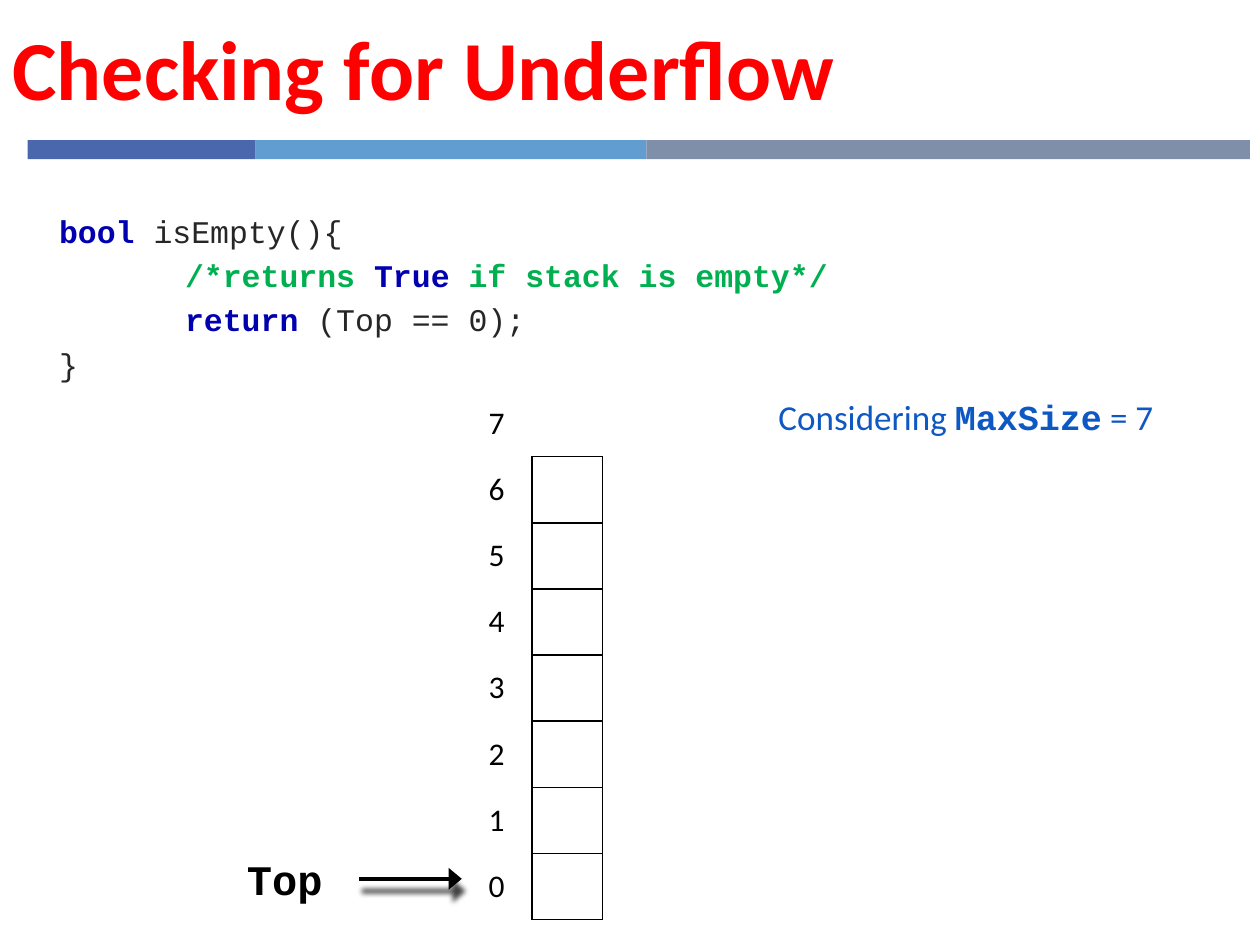
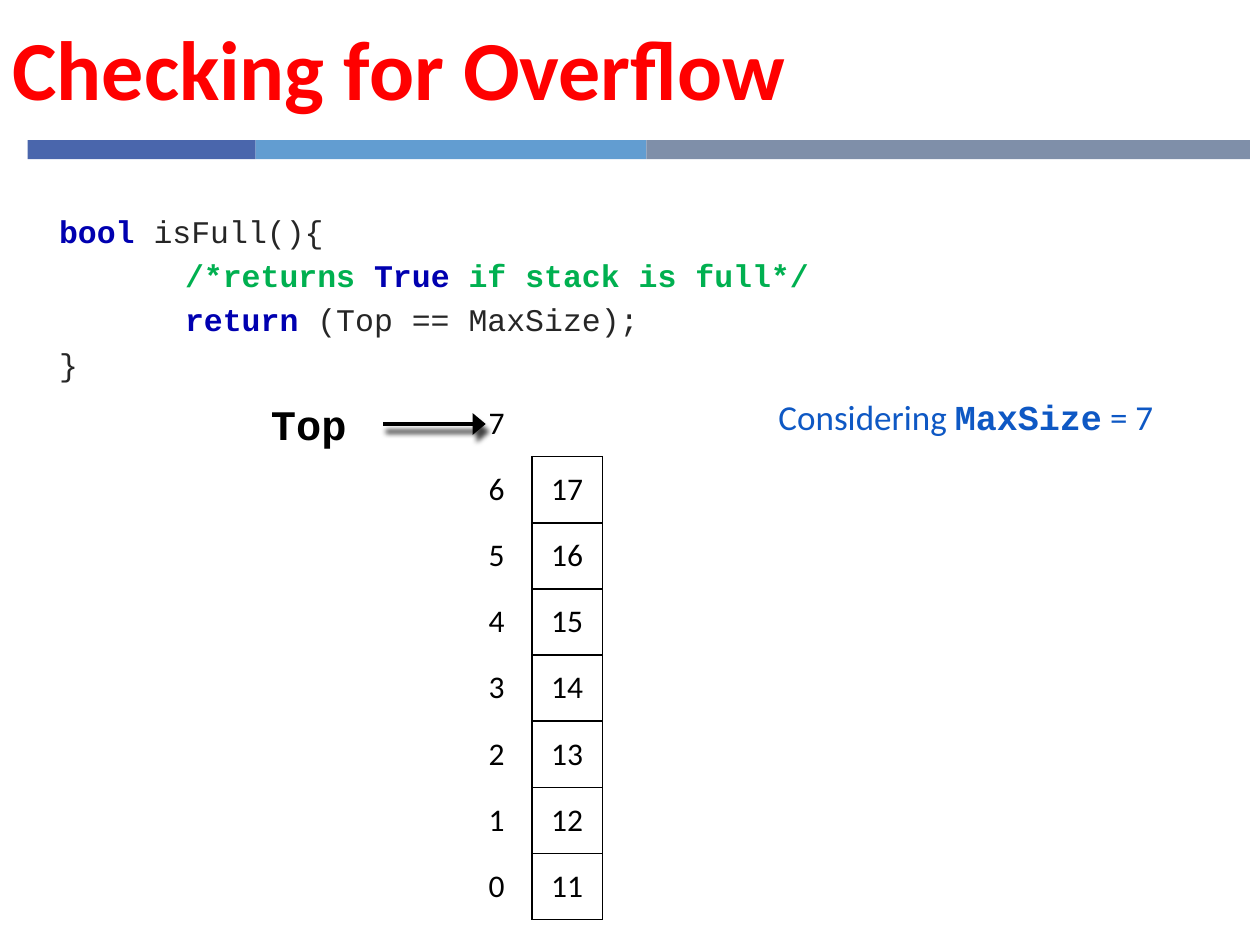
from dataclasses import dataclass

from lxml import etree
from pptx import Presentation
from pptx.dml.color import RGBColor
from pptx.enum.shapes import MSO_CONNECTOR, MSO_SHAPE
from pptx.enum.text import MSO_ANCHOR, PP_ALIGN
from pptx.oxml.ns import qn
from pptx.util import Emu, Inches, Pt

RECT = MSO_SHAPE.RECTANGLE
STRAIGHT = MSO_CONNECTOR.STRAIGHT
MIDDLE = MSO_ANCHOR.MIDDLE
CENTER, JUSTIFY = PP_ALIGN.CENTER, PP_ALIGN.JUSTIFY
RIGHT_SIDE = 3

GRID_COLS, GRID_ROWS = 100, 75
UNIT = Inches(0.1)


@dataclass(frozen=True)
class Theme:
    sans: str = "Calibri"
    mono: str = "Courier New"
    ink: str = "000000"
    paper: str = "FFFFFF"
    title: str = "FF0000"
    keyword: str = "0000B0"
    comment: str = "00B050"
    code: str = "262626"
    note: str = "0E58C4"
    bands: tuple = (("4A66AC", 18.1), ("629DD1", 31), ("7F8FA9", 47.9))
    title_size: int = 48
    pointer_size: int = 24
    note_size: int = 20
    body_size: int = 18
    border: int = 1
    arrow: float = 2.5


T = Theme()


def style(color, size=T.body_size, name=T.sans, bold=False):
    return {"color": color, "size": Pt(size), "name": name, "bold": bold}


TITLE = style(T.title, T.title_size, bold=True)
KEYWORD = style(T.keyword, name=T.mono, bold=True)
COMMENT = style(T.comment, name=T.mono, bold=True)
CODE = style(T.code, name=T.mono)
POINTER = style(T.ink, T.pointer_size, T.mono, True)
CELL = style(T.ink)
NOTE = style(T.note, T.note_size)
NOTE_CODE = style(T.note, T.note_size, T.mono, True)

CODE_PARAGRAPH = {"alignment": JUSTIFY, "line_spacing": 0.8,
                  "space_before": Pt(4), "space_after": Pt(4)}


def grid(*lengths):
    """Turn grid columns or rows into slide lengths."""
    return [Emu(round(n * UNIT)) for n in lengths]


def set_all(target, values):
    for name, value in values.items():
        setattr(target, name, value)


def write(tf, lines, paragraph=None):
    """Fill a text frame; each line is a list of (text, style) pairs."""
    for i, line in enumerate(lines):
        p = tf.paragraphs[0] if i == 0 else tf.add_paragraph()
        set_all(p, paragraph or {})
        for text, look in line:
            r = p.add_run()
            r.text = text
            set_all(r.font, {k: v for k, v in look.items() if k != "color"})
            r.font.color.rgb = RGBColor.from_string(look["color"])


def add_text(slide, place, lines, paragraph=None):
    tf = slide.shapes.add_textbox(*grid(*place)).text_frame
    tf.word_wrap = True
    write(tf, lines, paragraph)
    return tf


def add_rect(slide, place, color):
    sp = slide.shapes.add_shape(RECT, *grid(*place))
    sp.shadow.inherit = False
    sp.fill.solid()
    sp.fill.fore_color.rgb = RGBColor.from_string(color)
    sp.line.fill.background()
    return sp


def add_bands(slide):
    left = 2.2
    for color, width in T.bands:
        add_rect(slide, (left, 11.13, width, 1.5), color)
        left += width


def set_tab_stop(p, columns):
    tabs = etree.SubElement(p._p.get_or_add_pPr(), qn("a:tabLst"))
    etree.SubElement(tabs, qn("a:tab"), pos=str(grid(columns)[0]), algn="l")


def add_code(slide, signature, condition, test):
    tf = add_text(slide, (3.7, 16.9, 65.9, 16.7), [
        [("bool ", KEYWORD), (signature + "{", CODE)],
        [("\t/*returns ", COMMENT), ("True ", KEYWORD),
         (f"if stack is {condition}*/", COMMENT)],
        [("\treturn", KEYWORD), (f" ({test});", CODE)],
        [("}", CODE)],
    ], CODE_PARAGRAPH)
    for p in tf.paragraphs:
        set_tab_stop(p, 10)


def set_borders(cell, sides):
    """Draw the named sides (L, R, T, B) and clear the others."""
    tc_pr = cell._tc.get_or_add_tcPr()
    for side in "LRTB":
        ln = etree.SubElement(tc_pr, qn(f"a:ln{side}"), w=str(Pt(T.border)))
        if side in sides:
            fill = etree.SubElement(ln, qn("a:solidFill"))
            etree.SubElement(fill, qn("a:srgbClr"), val=T.ink)
        else:
            etree.SubElement(ln, qn("a:noFill"))


def add_stack(slide, values, max_size):
    """Draw slots max_size down to 0; the top index lies outside the stack."""
    slots = max_size + 1
    frame = slide.shapes.add_table(slots, 2, *grid(36.62, 31, 11.2, 42))
    table = frame.table
    set_all(table, {"first_row": False, "horz_banding": False})
    for row, index in enumerate(range(max_size, -1, -1)):
        inside = index < max_size
        value = values[index] if index < len(values) else ""
        columns = ((index, "R" if inside else ""),
                   (value, "LRTB" if inside else "B"))
        for col, (content, sides) in enumerate(columns):
            cell = table.cell(row, col)
            set_borders(cell, sides)
            cell.fill.background()
            cell.vertical_anchor = MIDDLE
            if content != "":
                write(cell.text_frame, [[(str(content), CELL)]],
                      {"alignment": CENTER})


def add_arrow(slide, box, length):
    """Draw a shadowed arrow from the right side of a box."""
    x, y = box.left + box.width, box.top + box.height // 2
    line = slide.shapes.add_connector(STRAIGHT, x, y, x + grid(length)[0], y)
    line.begin_connect(box, RIGHT_SIDE)
    line.line.width = Pt(T.arrow)
    line.line.color.rgb = RGBColor.from_string(T.ink)
    etree.SubElement(line.line._get_or_add_ln(), qn("a:tailEnd"),
                     type="triangle", w="lg", len="med")
    effects = etree.SubElement(line._element.spPr, qn("a:effectLst"))
    shadow = etree.SubElement(
        effects, qn("a:outerShdw"), blurRad=str(Pt(3)), dist=str(Pt(2)),
        dir=str(110 * 60000), sx="101000", sy="101000", rotWithShape="0")
    color = etree.SubElement(shadow, qn("a:srgbClr"), val=T.ink)
    etree.SubElement(color, qn("a:alpha"), val="75000")


def add_pointer(slide, left, top):
    box = add_rect(slide, (left, top, 11.8, 4.3), T.paper)
    box.text_frame.vertical_anchor = MIDDLE
    write(box.text_frame, [[("Top", POINTER)]], {"alignment": CENTER})
    add_arrow(slide, box, 8.15)


def add_check_slide(prs, title, code, values, pointer, max_size=7):
    slide = prs.slides.add_slide(prs.slide_layouts[6])
    add_bands(slide)
    add_text(slide, (0, 0.8, 79, 10), [[(title, TITLE)]],
             {"space_before": Pt(20)})
    add_code(slide, *code)
    add_stack(slide, values, max_size)
    add_pointer(slide, *pointer)
    add_text(slide, (60.8, 30.9, 35.5, 4.4), [
        [("Considering ", NOTE), ("MaxSize", NOTE_CODE),
         (f" = {max_size}", NOTE)]])


def main():
    prs = Presentation()
    prs.slide_width, prs.slide_height = grid(GRID_COLS, GRID_ROWS)
    add_check_slide(prs, "Checking for Underflow",
                    ("isEmpty()", "empty", "Top == 0"),
                    [], (16.7, 67.6))
    add_check_slide(prs, "Checking for Overflow",
                    ("isFull()", "full", "Top == MaxSize"),
                    range(11, 18), (18.6, 31.5))
    prs.save("out.pptx")


if __name__ == "__main__":
    main()
